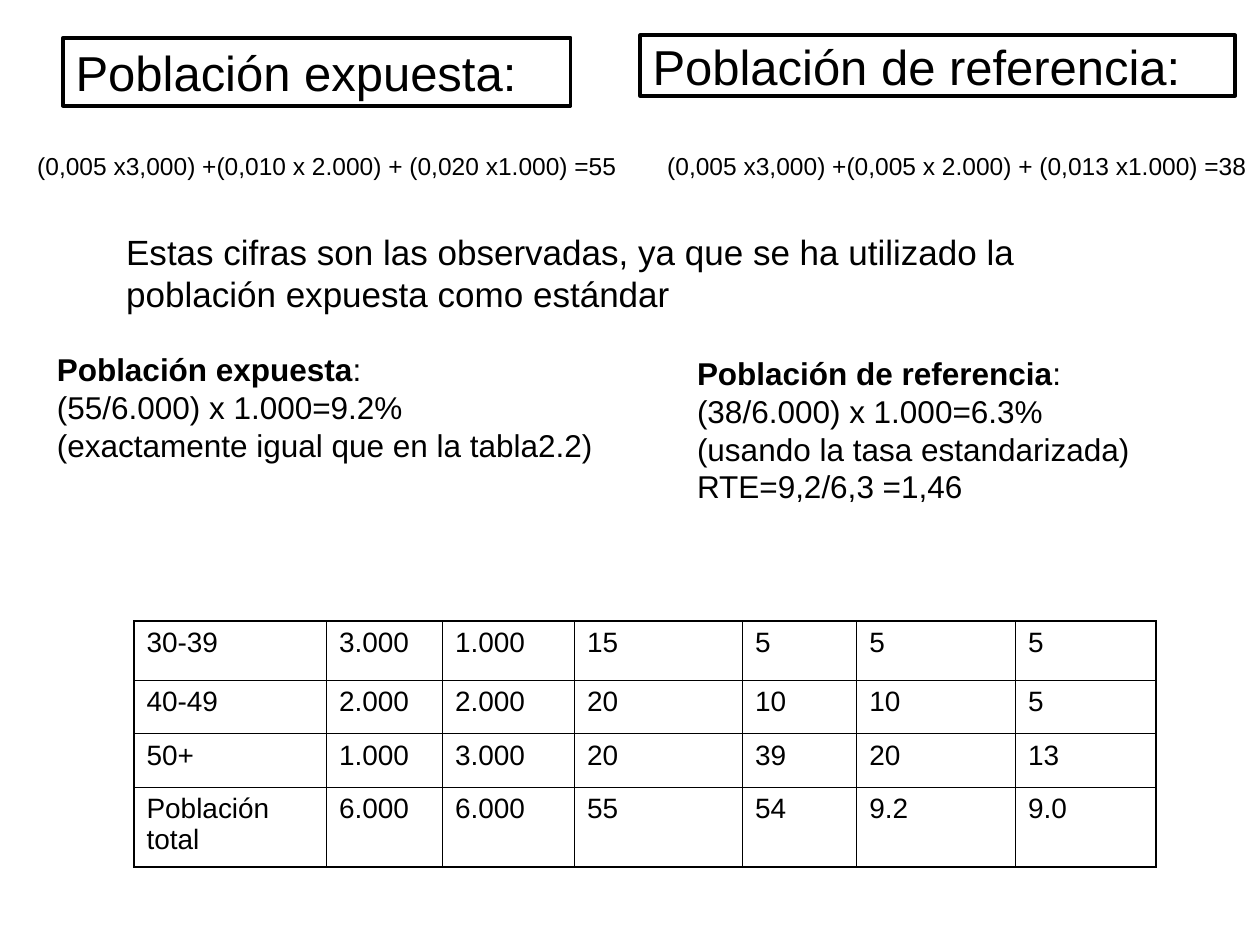
"""Build the slide comparing rates in the exposed and reference populations."""
from dataclasses import dataclass

from lxml.etree import SubElement as Sub
from pptx import Presentation
from pptx.dml.color import RGBColor as RGB
from pptx.enum.shapes import MSO_SHAPE as Shape
from pptx.enum.text import MSO_ANCHOR as Anchor, MSO_AUTO_SIZE as Fit, PP_ALIGN as Align
from pptx.oxml.ns import qn
from pptx.util import Pt


@dataclass(frozen=True)
class Theme:
    font: str = "Arial"
    ink: str = "000000"
    head: int = 28
    lead: int = 20
    body: int = 18
    cell: int = 16
    sum: int = 14
    frame: float = 2.25
    edge: float = 1.08
    grid: float = 0.45


THEME = Theme()
ROWS = [
    ["30-39", "3.000", "1.000", "15", "5", "5", "5"],
    ["40-49", "2.000", "2.000", "20", "10", "10", "5"],
    ["50+", "1.000", "3.000", "20", "39", "20", "13"],
    ["Población total", "6.000", "6.000", "55", "54", "9.2", "9.0"],
]
WIDTHS = [110, 66.3, 75.5, 96, 65.2, 90.8, 80.4]
HEIGHTS = [33.8, 30.5, 30.6, 45.7]


def write(frame, *lines, size, lead="", anchor=Anchor.TOP, wrap=True):
    frame.word_wrap = wrap
    frame.auto_size = Fit.NONE
    frame.vertical_anchor = anchor
    for i, line in enumerate(lines):
        par = frame.paragraphs[0] if i == 0 else frame.add_paragraph()
        par.alignment = Align.LEFT
        parts = [(lead, True), (line, False)] if lead and i == 0 else [(line, False)]
        for text, bold in parts:
            run = par.add_run()
            run.text = text
            font = run.font
            font.name, font.size, font.bold = THEME.font, Pt(size), bold
            font.color.rgb = RGB.from_string(THEME.ink)


def add_head(shape, text):
    shape.fill.background()
    shape.line.color.rgb = RGB.from_string(THEME.ink)
    shape.line.width = Pt(THEME.frame)
    write(shape.text_frame, text, size=THEME.head, anchor=Anchor.MIDDLE)


def add_text(slide, box, *lines, **style):
    shape = slide.shapes.add_textbox(*map(Pt, box))
    write(shape.text_frame, *lines, **style)


def rule(cell, side, width):
    line = Sub(cell._tc.get_or_add_tcPr(), qn(f"a:ln{side}"), w=str(Pt(width)))
    Sub(Sub(line, qn("a:solidFill")), qn("a:srgbClr"), val=THEME.ink)


def add_grid(slide, left, top):
    size = Pt(sum(WIDTHS)), Pt(sum(HEIGHTS))
    table = slide.shapes.add_table(len(ROWS), len(WIDTHS), Pt(left), Pt(top), *size).table
    table.first_row = table.horz_banding = False
    for col, width in zip(table.columns, WIDTHS):
        col.width = Pt(width)
    for r, row in enumerate(ROWS):
        table.rows[r].height = Pt(HEIGHTS[r])
        for c, text in enumerate(row):
            cell = table.cell(r, c)
            outer = {"L": c == 0, "R": c == len(row) - 1, "T": r == 0, "B": r == len(ROWS) - 1}
            for side, edge in outer.items():
                rule(cell, side, THEME.edge if edge else THEME.grid)
            cell.fill.background()
            write(cell.text_frame, text, size=THEME.cell)


def main():
    deck = Presentation()
    deck.slide_width, deck.slide_height = Pt(720), Pt(540)
    slide = deck.slides.add_slide(deck.slide_layouts[5])

    title = slide.shapes.title
    title.left, title.top, title.width, title.height = map(Pt, (36, 21.6, 290, 38.8))
    add_head(title, "Población expuesta:")
    ref = slide.shapes.add_shape(Shape.RECTANGLE, *map(Pt, (365.8, 20.2, 340, 34.5)))
    ref.shadow.inherit = False
    add_head(ref, "Población de referencia:")

    sums = [
        (14.2, "(0,005 x3,000) +(0,010 x 2.000) + (0,020 x1.000) =55"),
        (374.2, "(0,005 x3,000) +(0,005 x 2.000) + (0,013 x1.000) =38"),
    ]
    for left, text in sums:
        add_text(slide, (left, 82.8, 345.6, 24.5), text, size=THEME.sum, wrap=False)
    add_text(
        slide, (65, 128.2, 590, 55.4),
        "Estas cifras son las observadas, ya que se ha utilizado la población expuesta como estándar",
        size=THEME.lead,
    )
    add_grid(slide, 76.6, 355)
    add_text(
        slide, (25.4, 196.6, 323.3, 72), ":", "(55/6.000) x 1.000=9.2%",
        "(exactamente igual que en la tabla2.2)",
        size=THEME.body, lead="Población expuesta", wrap=False,
    )
    add_text(
        slide, (391.2, 198.8, 286.6, 93.6), ":", "(38/6.000) x 1.000=6.3%",
        "(usando la tasa estandarizada)", "RTE=9,2/6,3 =1,46",
        size=THEME.body, lead="Población de referencia",
    )
    deck.save("out.pptx")


if __name__ == "__main__":
    main()
